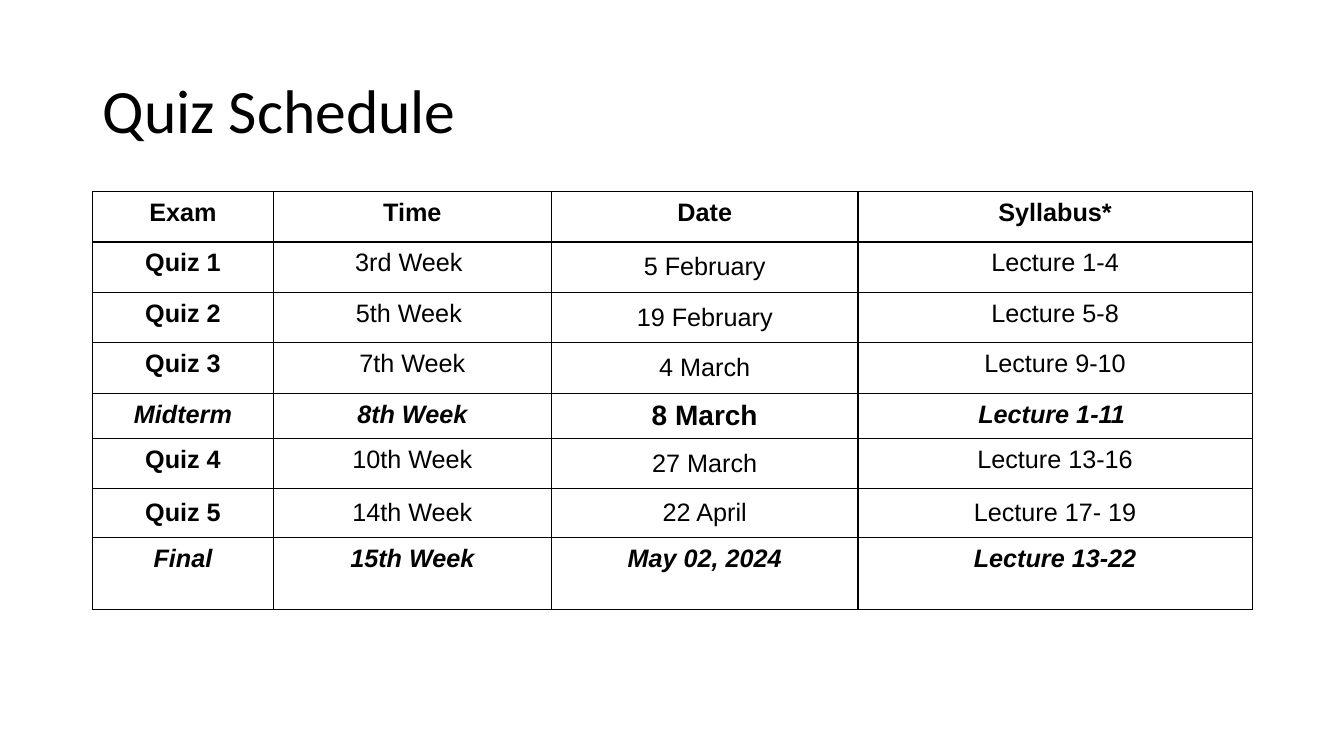
from dataclasses import dataclass

from lxml.etree import SubElement
from pptx import Presentation
from pptx.dml.color import RGBColor
from pptx.enum.text import MSO_ANCHOR as Anchor, PP_ALIGN as Align
from pptx.oxml import parse_xml
from pptx.oxml.ns import nsdecls, qn
from pptx.util import Inches, Pt

# Content
TITLE = "Quiz Schedule"
SCHEDULE = [
    ("Exam", "Time", "Date", "Syllabus*"),
    ("Quiz 1", "3rd Week ", "5 February", "Lecture 1-4"),
    ("Quiz 2", "5th Week ", "19 February", "Lecture 5-8"),
    ("Quiz 3", "7th Week", "4 March", "Lecture 9-10"),
    ("Midterm", "8th Week", "8 March", "Lecture 1-11 "),
    ("Quiz 4", "10th Week", "27 March", "Lecture 13-16"),
    ("Quiz 5", "14th Week", "22 April", "Lecture 17- 19"),
    ("Final", "15th Week", "May 02, 2024", "Lecture 13-22"),
]
MAJOR_EXAMS = ("Midterm", "Final")
LARGE_DATE = "8 March"
COL_WIDTHS = (1.79, 2.76, 3.04, 3.91)
ROW_HEIGHTS = (0.5, 0.5, 0.5, 0.5, 0.44, 0.5, 0.48, 0.72)
LEFT, WIDTH = 0.92, 11.5
TABLE_TOP = 1.9
CELL_MARGIN = 0.07


@dataclass(frozen=True)
class Theme:
    title_font: str = "Calibri"
    table_font: str = "Arial"
    ink: RGBColor = RGBColor(0, 0, 0)
    title_size: int = 44
    cell_size: int = 18
    large_size: int = 20
    border: int = 1


THEME = Theme()


def style_font(font, name, size, bold=False, italic=False):
    font.name, font.size = name, Pt(size)
    font.bold, font.italic = bold, italic
    font.color.rgb = THEME.ink


def add_borders(cell):
    props = cell._tc.get_or_add_tcPr()
    for i, side in enumerate(("lnL", "lnR", "lnT", "lnB")):
        ln = parse_xml(f'<a:{side} {nsdecls("a")} w="{Pt(THEME.border)}"/>')
        fill = SubElement(ln, qn("a:solidFill"))
        SubElement(fill, qn("a:srgbClr"), val=str(THEME.ink))
        props.insert(i, ln)


def fill_cell(cell, text, row, col):
    exam = SCHEDULE[row][0]
    major = exam in MAJOR_EXAMS
    large = text == LARGE_DATE
    centred = exam == "Quiz 5" or (col == 2 and row > 0 and not major)

    cell.margin_left = cell.margin_right = Inches(CELL_MARGIN)
    cell.margin_top = cell.margin_bottom = Inches(CELL_MARGIN)
    cell.vertical_anchor = Anchor.MIDDLE if centred else Anchor.TOP
    cell.fill.background()
    add_borders(cell)

    cell.text_frame.text = text
    p = cell.text_frame.paragraphs[0]
    p.alignment = Align.CENTER
    style_font(p.runs[0].font, THEME.table_font,
               THEME.large_size if large else THEME.cell_size,
               bold=row == 0 or col == 0 or major,
               italic=major and not large)


def main():
    prs = Presentation()
    prs.slide_width, prs.slide_height = Inches(13.33), Inches(7.5)
    s = prs.slides.add_slide(prs.slide_layouts[5])

    # Title
    title = s.shapes.title
    title.left, title.top = Inches(LEFT), Inches(0.4)
    title.width, title.height = Inches(WIDTH), Inches(1.45)
    tf = title.text_frame
    tf.text = TITLE
    tf.vertical_anchor = Anchor.MIDDLE
    p = tf.paragraphs[0]
    p.alignment, p.line_spacing = Align.LEFT, 0.9
    style_font(p.runs[0].font, THEME.title_font, THEME.title_size)

    # Schedule table
    table = s.shapes.add_table(
        len(SCHEDULE), len(COL_WIDTHS), Inches(LEFT), Inches(TABLE_TOP),
        Inches(WIDTH), Inches(sum(ROW_HEIGHTS))).table
    table.first_row = table.horz_banding = False
    for column, width in zip(table.columns, COL_WIDTHS):
        column.width = Inches(width)
    for row, height in zip(table.rows, ROW_HEIGHTS):
        row.height = Inches(height)
    for r, entries in enumerate(SCHEDULE):
        for c, text in enumerate(entries):
            fill_cell(table.cell(r, c), text, r, c)

    prs.save("out.pptx")


if __name__ == "__main__":
    main()
